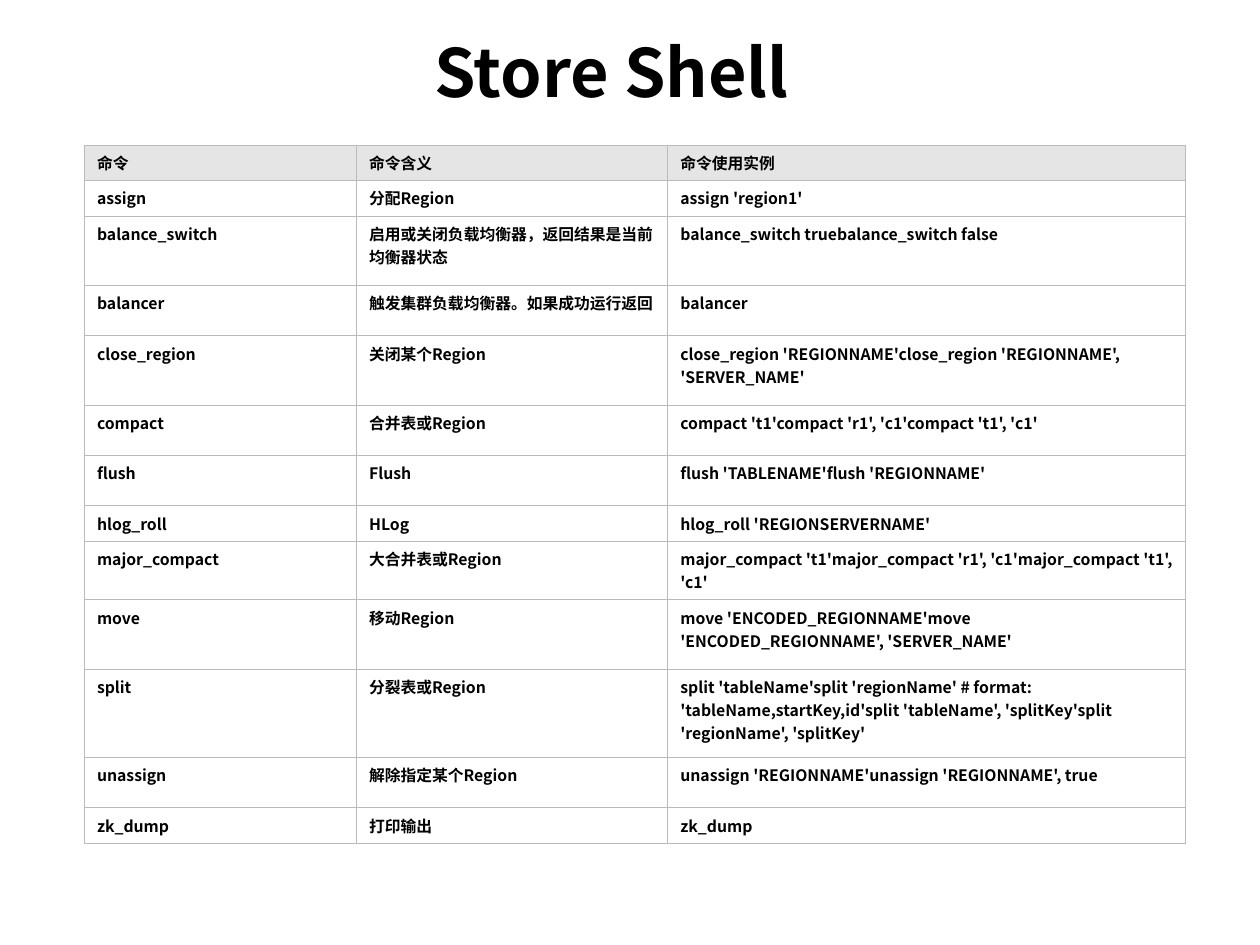
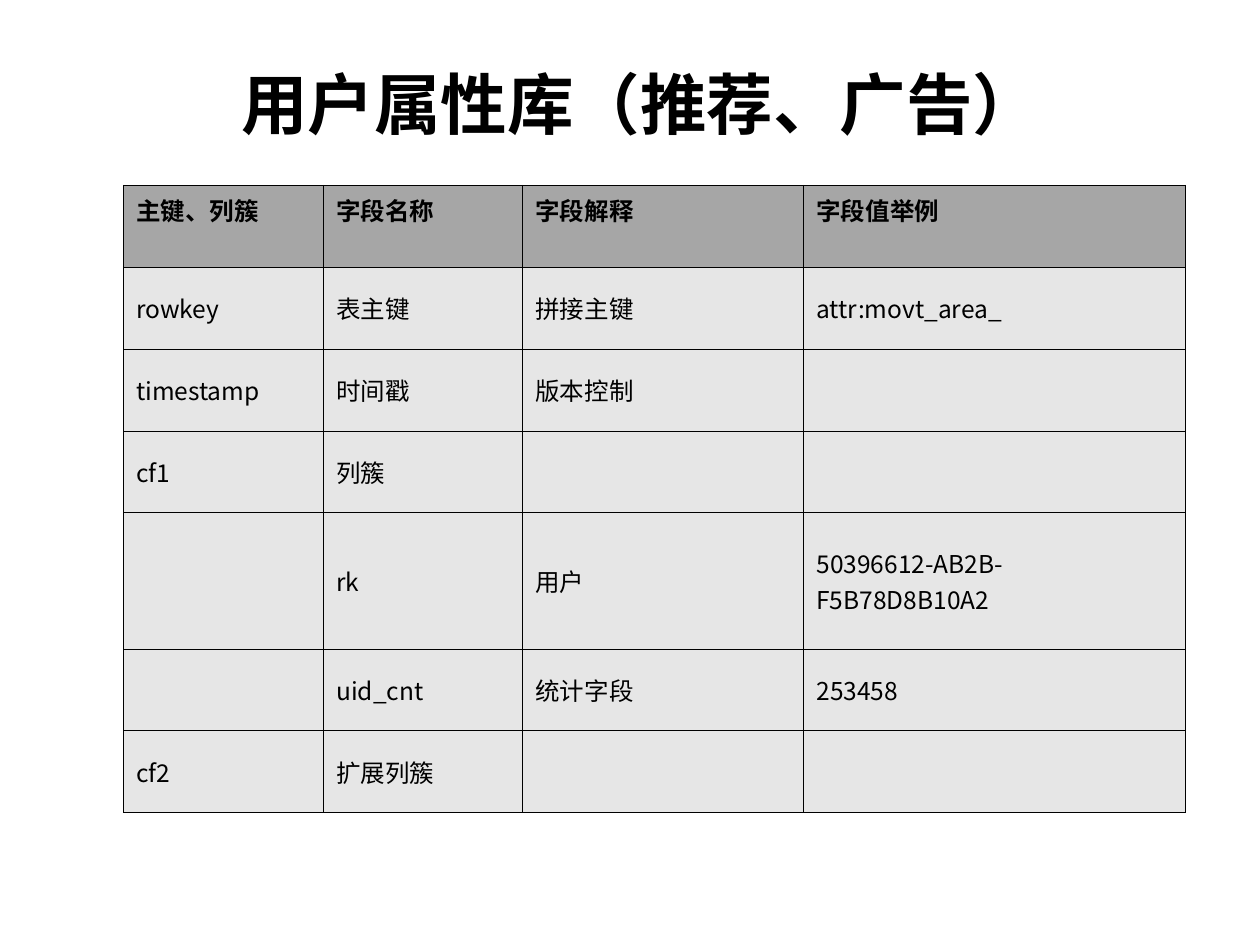
from dataclasses import dataclass

from lxml.etree import SubElement
from pptx import Presentation
from pptx.dml.color import RGBColor as RGB
from pptx.enum.text import MSO_ANCHOR as ANCHOR, MSO_AUTO_SIZE as AUTOFIT, PP_ALIGN as ALIGN
from pptx.oxml import parse_xml
from pptx.oxml.ns import nsdecls, qn
from pptx.util import Emu, Pt

PX = 914400 // 100
FONT = "Noto Sans CJK SC"
COLORS = {
    "text": "000000",
    "white": "FFFFFF",
    "light_line": "BBBBBB",
    "dark_line": "000000",
    "command_head": "E5E5E5",
    "field_head": "A6A6A6",
    "field_body": "E6E6E6",
}
TITLE_SIZE = 38
TITLE_WIDTH = 821
LINE_WIDTH = Pt(0.5)


@dataclass(frozen=True)
class TitleSpec:
    text: str
    left: int
    top: int
    height: int


@dataclass(frozen=True)
class TableSpec:
    left: int
    top: int
    widths: list[int]
    heights: list[int]
    rows: list[tuple[str, ...]]
    size: int
    head_fill: str
    body_fill: str
    line: str
    body_bold: bool
    body_anchor: ANCHOR


@dataclass(frozen=True)
class SlideSpec:
    title: TitleSpec
    table: TableSpec


COMMANDS = [
    ("命令", "命令含义", "命令使用实例"),
    ("assign", "分配Region", "assign 'region1'"),
    ("balance_switch", "启用或关闭负载均衡器，返回结果是当前均衡器状态",
     "balance_switch truebalance_switch false"),
    ("balancer", "触发集群负载均衡器。如果成功运行返回", "balancer"),
    ("close_region", "关闭某个Region",
     "close_region 'REGIONNAME'close_region 'REGIONNAME', 'SERVER_NAME'"),
    ("compact", "合并表或Region", "compact 't1'compact 'r1', 'c1'compact 't1', 'c1'"),
    ("flush", "Flush", "flush 'TABLENAME'flush 'REGIONNAME'"),
    ("hlog_roll", "HLog", "hlog_roll 'REGIONSERVERNAME'"),
    ("major_compact", "大合并表或Region",
     "major_compact 't1'major_compact 'r1', 'c1'major_compact 't1', 'c1'"),
    ("move", "移动Region",
     "move 'ENCODED_REGIONNAME'move 'ENCODED_REGIONNAME', 'SERVER_NAME'"),
    ("split", "分裂表或Region",
     "split 'tableName'split 'regionName' # format: 'tableName,startKey,id'"
     "split 'tableName', 'splitKey'split 'regionName', 'splitKey'"),
    ("unassign", "解除指定某个Region", "unassign 'REGIONNAME'unassign 'REGIONNAME', true"),
    ("zk_dump", "打印输出", "zk_dump"),
]

FIELDS = [
    ("主键、列簇", "字段名称", "字段解释", "字段值举例"),
    ("rowkey", "表主键", "拼接主键", "attr:movt_area_"),
    ("timestamp", "时间戳", "版本控制", ""),
    ("cf1", "列簇", "", ""),
    ("", "rk", "用户", "50396612-AB2B-F5B78D8B10A2"),
    ("", "uid_cnt", "统计字段", "253458"),
    ("cf2", "扩展列簇", "", ""),
]

SLIDES = [
    SlideSpec(
        TitleSpec("Store Shell", 75, 13, 87),
        TableSpec(67, 115, [216, 247, 411],
                  [25, 25, 55, 40, 55, 40, 40, 25, 40, 55, 70, 40, 25],
                  COMMANDS, 9, "command_head", "white", "light_line", True, ANCHOR.TOP),
    ),
    SlideSpec(
        TitleSpec("用户属性库（推荐、广告）", 98, 20, 125),
        TableSpec(98, 147, [159, 158, 223, 303], [65] * 4 + [108] + [65] * 2,
                  FIELDS, 14, "field_head", "field_body", "dark_line", False, ANCHOR.MIDDLE),
    ),
]


def px(n: int) -> Emu:
    return Emu(n * PX)


def color(name: str) -> RGB:
    return RGB.from_string(COLORS[name])


def set_font(p, size: int, bold: bool) -> None:
    font = p.font
    font.name, font.size, font.bold = FONT, Pt(size), bold
    font.color.rgb = color("text")
    SubElement(p._p.pPr.find(qn("a:defRPr")), qn("a:ea"), typeface=FONT)


def set_space_before(p, percent: int) -> None:
    p._p.get_or_add_pPr().insert(0, parse_xml(
        f'<a:spcBef {nsdecls("a")}><a:spcPct val="{percent * 1000}"/></a:spcBef>'))


def set_borders(cell, line: str) -> None:
    tc_pr = cell._tc.get_or_add_tcPr()
    for i, side in enumerate("LRTB"):
        tc_pr.insert(i, parse_xml(
            f'<a:ln{side} {nsdecls("a")} w="{LINE_WIDTH}"><a:solidFill>'
            f'<a:srgbClr val="{COLORS[line]}"/></a:solidFill></a:ln{side}>'))


def add_title(slide, spec: TitleSpec) -> None:
    sp = slide.shapes.title
    sp.left, sp.top = px(spec.left), px(spec.top)
    sp.width, sp.height = px(TITLE_WIDTH), px(spec.height)
    tf = sp.text_frame
    tf.text = spec.text
    tf.word_wrap, tf.auto_size = True, AUTOFIT.NONE
    tf.vertical_anchor = ANCHOR.MIDDLE
    tf.margin_left = tf.margin_right = px(10)
    tf.margin_top, tf.margin_bottom = px(4), px(5)
    p = tf.paragraphs[0]
    p.alignment = ALIGN.CENTER
    set_font(p, TITLE_SIZE, True)


def format_cell(cell, text: str, spec: TableSpec, is_head: bool) -> None:
    cell.text = text
    cell.fill.solid()
    cell.fill.fore_color.rgb = color(spec.head_fill if is_head else spec.body_fill)
    cell.vertical_anchor = ANCHOR.TOP if is_head else spec.body_anchor
    set_borders(cell, spec.line)
    p = cell.text_frame.paragraphs[0]
    set_font(p, spec.size, is_head or spec.body_bold)
    set_space_before(p, 20)


def add_grid(slide, spec: TableSpec) -> None:
    table = slide.shapes.add_table(
        len(spec.heights), len(spec.widths), px(spec.left), px(spec.top),
        px(sum(spec.widths)), px(sum(spec.heights))).table
    table.first_row = table.horz_banding = False
    for column, width in zip(table.columns, spec.widths):
        column.width = px(width)
    for i, (row, height, texts) in enumerate(zip(table.rows, spec.heights, spec.rows)):
        row.height = px(height)
        for cell, text in zip(row.cells, texts):
            format_cell(cell, text, spec, i == 0)


def main() -> None:
    prs = Presentation()
    prs.slide_width, prs.slide_height = px(1000), px(750)
    title_only = prs.slide_layouts[5]
    for spec in SLIDES:
        slide = prs.slides.add_slide(title_only)
        add_title(slide, spec.title)
        add_grid(slide, spec.table)
    prs.save("out.pptx")


if __name__ == "__main__":
    main()
